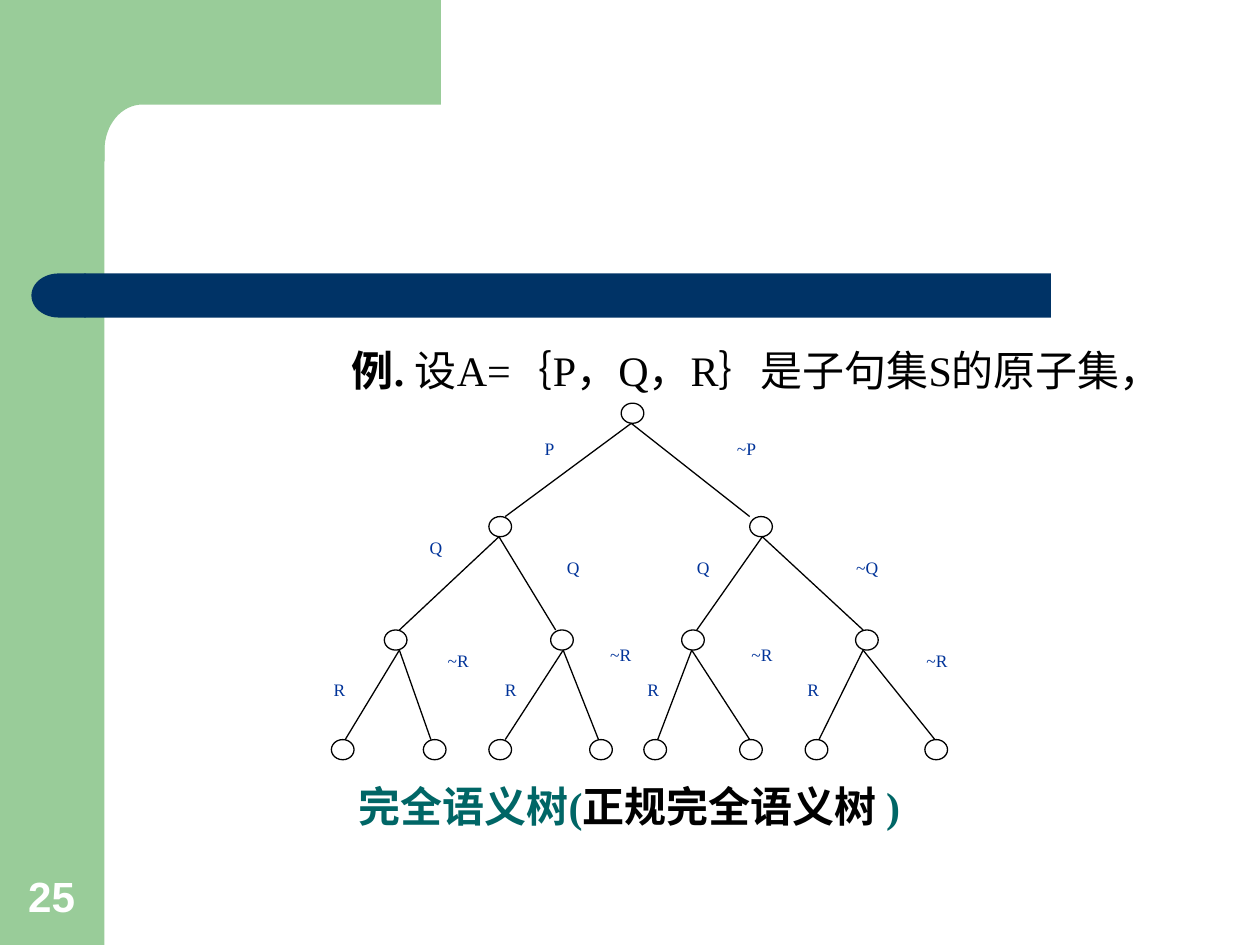
from math import cos, pi, sin

from lxml import etree
from pptx import Presentation
from pptx.dml.color import RGBColor
from pptx.enum.shapes import MSO_CONNECTOR as Connector, MSO_SHAPE as Shape
from pptx.enum.text import MSO_ANCHOR as Anchor, PP_ALIGN as Align
from pptx.oxml.ns import qn
from pptx.util import Inches, Pt

SERIF = "Times New Roman"
GREEN, NAVY, TEAL, BLUE = "99CC99", "003366", "006666", "003399"
BLACK, WHITE = "000000", "FFFFFF"
NODE_SIZE = (0.18, 0.16)

# Each level: top, node lefts, line ends, line starts towards the next level
LEVELS = [
    (3.2, [4.93], [], [5.01]),
    (4.1, [3.88, 5.95], [4.01, 5.95], [3.96, 6.05]),
    (5.0, [3.05, 4.37, 5.41, 6.79], [3.17, 4.41, 5.53, 6.85],
     [3.17, 4.47, 5.49, 6.85]),
    (5.87, [2.63, 3.36, 3.88, 4.68, 5.11, 5.87, 6.39, 7.34],
     [2.74, 3.42, 4.01, 4.75, 5.22, 5.95, 6.5, 7.42], []),
]
LABELS = [
    ("P", 4.06, 3.48), ("~P", 5.59, 3.48),
    ("Q", 3.17, 4.26), ("Q", 4.26, 4.42), ("Q", 5.29, 4.42), ("~Q", 6.56, 4.42),
    ("R", 2.4, 5.39), ("~R", 3.31, 5.16), ("R", 3.76, 5.39), ("~R", 4.6, 5.11),
    ("R", 4.89, 5.39), ("~R", 5.72, 5.11), ("R", 6.16, 5.39), ("~R", 7.11, 5.16),
]


def color(value):
    """Return the colour for a hex string."""
    return RGBColor.from_string(value)


def paint(shape, fill, line=None):
    """Give a shape a flat fill and an optional thin outline."""
    shape.shadow.inherit = False
    shape.fill.solid()
    shape.fill.fore_color.rgb = color(fill)
    if line:
        shape.line.color.rgb = color(line)
        shape.line.width = Pt(0.75)
    else:
        shape.line.fill.background()
    return shape


def add_shape(shapes, kind, box, fill, line=None):
    """Add a painted preset shape in a box given in inches."""
    return paint(shapes.add_shape(kind, *map(Inches, box)), fill, line)


def style(span, size, value, name=SERIF, bold=False):
    """Format one run."""
    span.font.size = Pt(size)
    span.font.name = name
    span.font.bold = bold
    span.font.color.rgb = color(value)


def add_backdrop(shapes, width, height):
    """Draw the green frame with its rounded inner corner and the navy bar."""
    side = 0.83
    add_shape(shapes, Shape.RECTANGLE, (0, 0, side, height), GREEN)
    radius_x, radius_y, steps = 0.3, 0.36, 16
    angles = [pi / 2 * step / steps for step in range(steps + 1)]
    corner = [(side + radius_x * (1 - sin(angle)), side + radius_y * (1 - cos(angle)))
              for angle in angles]
    outline = [(3.5, side), *corner, (side, 1.28), (0.5, 1.28), (0.5, 0)]
    builder = shapes.build_freeform(Inches(3.5), 0)
    builder.add_line_segments([(Inches(x), Inches(y)) for x, y in outline])
    paint(builder.convert_to_shape(), GREEN)
    bar = add_shape(shapes, Shape.ROUNDED_RECTANGLE, (0.67, 2.17, width, 0.35), NAVY)
    bar.adjustments[0] = 0
    cap = add_shape(shapes, Shape.FLOWCHART_DELAY, (0.25, 2.17, 0.43, 0.35), NAVY)
    cap.element.spPr.xfrm.set("flipH", "1")


def add_page_number(page, box):
    """Place the page number in the green side band."""
    frame = page.shapes.add_textbox(*map(Inches, box)).text_frame
    frame.word_wrap = True
    frame.vertical_anchor = Anchor.BOTTOM
    frame.text = "25"
    para = frame.paragraphs[0]
    para.alignment = Align.CENTER
    style(para.runs[0], 24.1, WHITE, "Arial", True)


def add_body(page, box):
    """Write the example line above the tree and the caption below it."""
    frame = page.shapes.add_textbox(*map(Inches, box)).text_frame
    frame.word_wrap = True
    example, caption = frame.paragraphs[0], frame.add_paragraph()
    texts = [
        (example, Align.RIGHT, [("例. ", BLACK, True),
                                ("设A=｛P，Q，R｝是子句集S的原子集，", BLACK, False)]),
        (caption, Align.CENTER, [("完全语义树(", TEAL, True),
                                 ("正规完全语义树 ", BLACK, True),
                                 (")", TEAL, True)]),
    ]
    for para, alignment, spans in texts:
        para.alignment = alignment
        para.line_spacing = 0.9
        for text, value, bold in spans:
            span = para.add_run()
            span.text = text
            style(span, 24, value, bold=bold)
    caption.space_before = Pt(223)


def add_label(shapes, text, left, top):
    """Add the literal beside a branch."""
    width = 0.41 if text.startswith("~") else 0.34
    label = add_shape(shapes, Shape.RECTANGLE, (left, top, width, 0.28), WHITE, WHITE)
    frame = label.text_frame
    frame.margin_left = frame.margin_right = frame.margin_top = frame.margin_bottom = 0
    frame.vertical_anchor = Anchor.TOP
    frame.text = text
    frame.paragraphs[0].alignment = Align.RIGHT
    style(frame.paragraphs[0].runs[0], 10, BLUE)


def add_branch(shapes, start, end):
    """Draw a straight branch between two points in inches."""
    branch = shapes.add_connector(Connector.STRAIGHT, *map(Inches, (*start, *end)))
    branch.line.color.rgb = color(BLACK)
    branch.line.width = Pt(0.75)
    etree.SubElement(branch.element.spPr, qn("a:effectLst"))


def add_tree(shapes):
    """Draw the semantic tree with labels, branches and nodes."""
    for label in LABELS:
        add_label(shapes, *label)
    for (top, _, _, starts), (next_top, _, ends, _) in zip(LEVELS, LEVELS[1:]):
        for index, end in enumerate(ends):
            add_branch(shapes, (starts[index // 2], top + NODE_SIZE[1]), (end, next_top))
    for top, lefts, _, _ in LEVELS:
        for left in lefts:
            add_shape(shapes, Shape.OVAL, (left, top, *NODE_SIZE), WHITE, BLACK)


def main():
    """Build the slide and save it."""
    deck = Presentation()
    deck.slide_width, deck.slide_height = Inches(10), Inches(7.5)
    page = deck.slides.add_slide(deck.slide_layouts[6])
    add_backdrop(page.shapes.add_group_shape().shapes, 7.67, 7.5)
    add_page_number(page, (0.09, 6.83, 0.64, 0.53))
    add_body(page, (0.67, 2.73, 8.65, 4.55))
    add_tree(page.shapes.add_group_shape().shapes)
    deck.save("out.pptx")


if __name__ == "__main__":
    main()
